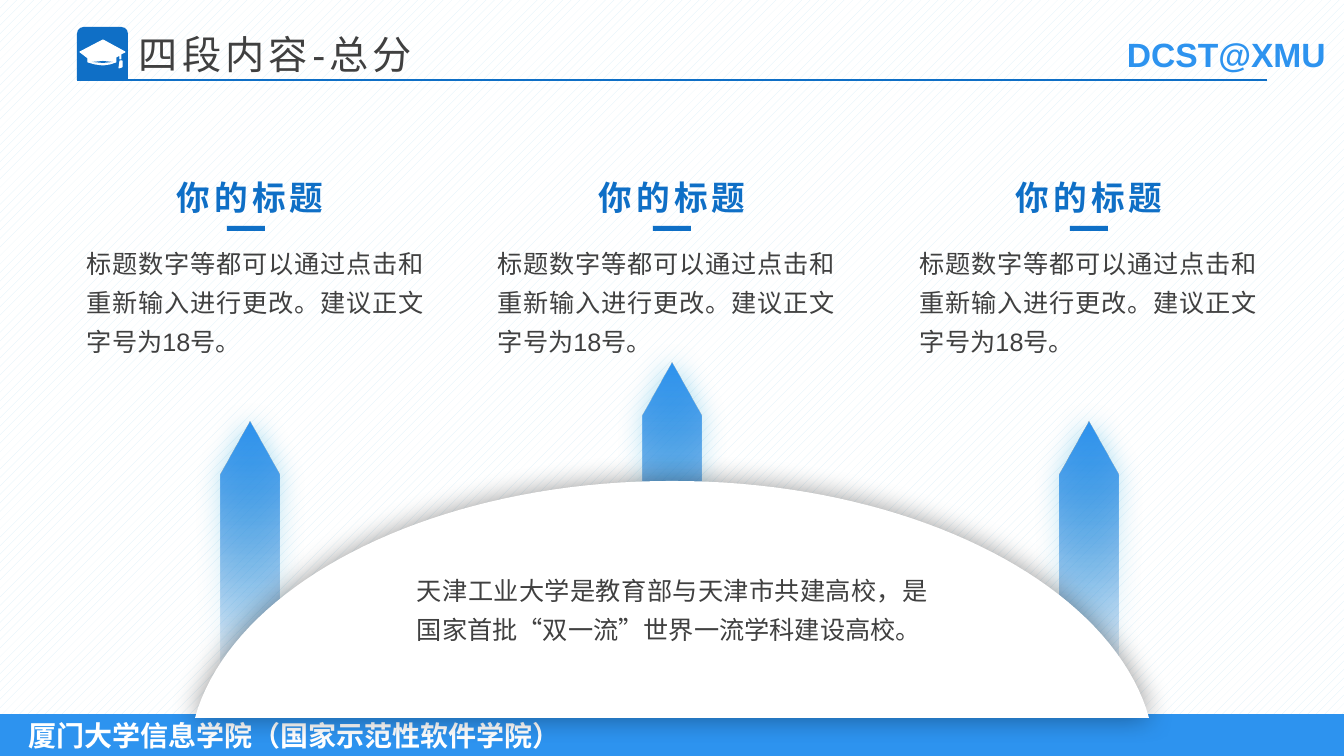
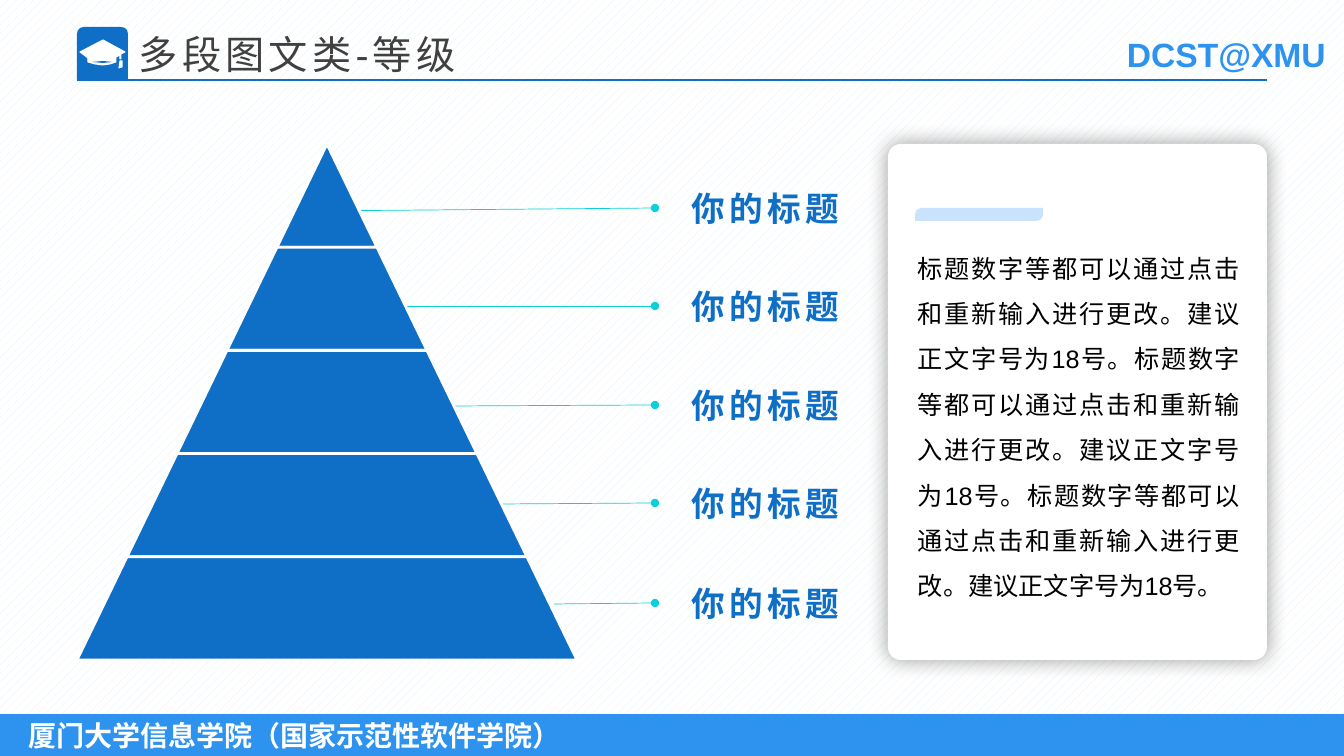
from dataclasses import dataclass

from lxml.etree import SubElement
from pptx import Presentation
from pptx.dml.color import RGBColor
from pptx.enum.dml import MSO_PATTERN
from pptx.enum.shapes import MSO_CONNECTOR, MSO_SHAPE
from pptx.enum.text import MSO_ANCHOR, PP_ALIGN
from pptx.oxml.ns import qn
from pptx.util import Emu, Pt

SLIDE_WIDTH, SLIDE_HEIGHT = 1344, 756
EMU_PER_PX = 12192000 / SLIDE_WIDTH


@dataclass(frozen=True)
class Theme:
    font: str = "Arial"
    blue: str = "0F6FC6"
    bright: str = "2D93EF"
    pale: str = "C8E3FB"
    hatch: str = "DBEFF9"
    teal: str = "0BD0D9"
    glow: str = "009DD9"
    text: str = "404040"
    black: str = "000000"
    white: str = "FFFFFF"
    title_size: int = 28
    heading_size: int = 24
    footer_size: int = 20
    body_size: int = 18
    tracking: int = 3


THEME = Theme()

# Content
FOOTER = "厦门大学信息学院（国家示范性软件学院）"
SIGNATURE = "DCST@XMU"
HEADING = "你的标题"
ADVICE = "标题数字等都可以通过点击和重新输入进行更改。建议正文字号为18号。"

SUMMARY_TITLE = "四段内容-总分"
SUMMARY = "天津工业大学是教育部与天津市共建高校，是国家首批“双一流”世界一流学科建设高校。"
COLUMNS = [
    {"centre": 250, "dash_centre": 246, "body_left": 77, "arrow_tip": 422},
    {"centre": 672, "dash_centre": 672, "body_left": 488, "arrow_tip": 363},
    {"centre": 1089, "dash_centre": 1089, "body_left": 910, "arrow_tip": 422},
]
DOME_CURVE = [(672, 481), (906, 481), (1101, 579), (1146, 708)]
DOME_CORNER = (1149, 718)

LEVELS_TITLE = "多段图文类-等级"
# Leader of each level, top to bottom: start x, start y, end y
LEADERS = [(316, 211, 208), (403, 306, 306), (454, 406, 405), (498, 504, 503), (554, 604, 603)]
LEADER_END = 655
PYRAMID_CENTRE, PYRAMID_TOP, PYRAMID_HEIGHT, PYRAMID_WIDTH = 327, 144, 516, 500

CAP = [(121, 59), (121, 54), (125, 52), (103, 40), (80, 52), (88, 58), (88, 62), (95, 64),
       (103, 65), (110, 64), (116, 62), (116, 57), (120, 55), (120, 59)]
TASSEL = [(120, 61), (119, 68), (122, 67), (122, 61)]
CAP_OPENING = [(92, 62), (103, 61), (113, 62), (103, 63)]


def px(value):
    return Emu(round(value * EMU_PER_PX))


def rgb(colour):
    return RGBColor.from_string(colour)


def add_alpha(colour_element, percent):
    SubElement(colour_element, qn("a:alpha")).set("val", str(percent * 1000))


def finish(shape, fill=None, line=None, line_width=1, shadow=None):
    """Set fill, outline and an optional (colour, blur in points) shadow."""
    shape.shadow.inherit = False
    if fill:
        shape.fill.solid()
        shape.fill.fore_color.rgb = rgb(fill)
    if line:
        shape.line.color.rgb = rgb(line)
        shape.line.width = Pt(line_width)
    else:
        shape.line.fill.background()
    if shadow:
        colour, blur = shadow
        effects = shape._element.spPr.find(qn("a:effectLst"))
        outer = SubElement(effects, qn("a:outerShdw"))
        outer.set("blurRad", str(Pt(blur)))
        outer.set("algn", "ctr")
        outer.set("rotWithShape", "0")
        tint = SubElement(outer, qn("a:srgbClr"))
        tint.set("val", colour)
        add_alpha(tint, 40)
    return shape


def add_block(page, preset, left, top, width, height, adjustments=(), **look):
    shape = page.shapes.add_shape(preset, px(left), px(top), px(width), px(height))
    for index, value in enumerate(adjustments):
        shape.adjustments[index] = value
    return finish(shape, **look)


def add_outline(page, points, **look):
    start, *rest = [(px(x), px(y)) for x, y in points]
    builder = page.shapes.build_freeform(*start)
    builder.add_line_segments(rest, close=True)
    return finish(builder.convert_to_shape(), **look)


def add_rule(page, start, end, colour, width, dot=False):
    rule = page.shapes.add_connector(MSO_CONNECTOR.STRAIGHT, *map(px, start + end))
    rule.line.color.rgb = rgb(colour)
    rule.line.width = Pt(width)
    if dot:
        SubElement(rule.line._get_or_add_ln(), qn("a:tailEnd")).set("type", "oval")
    SubElement(rule._element.spPr, qn("a:effectLst"))


def write(frame, text, size=THEME.body_size, colour=THEME.text, bold=False,
          tracking=0, align=PP_ALIGN.LEFT, spacing=1.0, wrap=True):
    frame.word_wrap = wrap
    frame.vertical_anchor = MSO_ANCHOR.TOP
    para = frame.paragraphs[0]
    para.alignment = align
    para.line_spacing = spacing
    span = para.add_run()
    span.text = text
    span.font.name = THEME.font
    span.font.size = Pt(size)
    span.font.bold = bold
    span.font.color.rgb = rgb(colour)
    if tracking:
        span._r.get_or_add_rPr().set("spc", str(tracking * 100))


def add_text(page, text, left, top, width, height, **style):
    box = page.shapes.add_textbox(px(left), px(top), px(width), px(height))
    write(box.text_frame, text, **style)


def add_heading(page, left, top, height, spacing=1.0):
    add_text(page, HEADING, left, top, 221, height, size=THEME.heading_size, colour=THEME.blue,
             bold=True, tracking=THEME.tracking, align=PP_ALIGN.CENTER, spacing=spacing)


def add_page(deck, title):
    """Add a slide with the shared backdrop, footer, badge and title."""
    page = deck.slides.add_slide(deck.slide_layouts[6])
    backdrop = add_block(page, MSO_SHAPE.RECTANGLE, 0, 0, SLIDE_WIDTH, SLIDE_HEIGHT)
    backdrop.fill.patterned()
    backdrop.fill.pattern = MSO_PATTERN.PERCENT_20
    backdrop.fill.fore_color.rgb = rgb(THEME.hatch)
    backdrop.fill.back_color.rgb = rgb(THEME.white)

    footer = add_block(page, MSO_SHAPE.RECTANGLE, 0, 714, SLIDE_WIDTH, 44, fill=THEME.bright)
    footer.text_frame.margin_left = px(28)
    write(footer.text_frame, FOOTER, size=THEME.footer_size, colour=THEME.white, bold=True)
    add_text(page, SIGNATURE, 1117, 29, 222, 50, size=THEME.heading_size,
             colour=THEME.bright, bold=True, wrap=False)

    add_block(page, MSO_SHAPE.ROUND_2_SAME_RECTANGLE, 77, 27, 51, 53, (0.13, 0), fill=THEME.blue)
    for outline in (CAP, TASSEL):
        add_outline(page, outline, fill=THEME.white, line=THEME.white, line_width=0.75)
    add_outline(page, CAP_OPENING, fill=THEME.blue)
    add_rule(page, (77, 80), (1267, 80), THEME.blue, 1)
    add_text(page, title, 129, 25, 736, 101, size=THEME.title_size, tracking=THEME.tracking)
    return page


def add_fading_arrow(page, centre, tip, length=310, thickness=58):
    """Add an upward arrow that fades out towards its foot."""
    arrow = add_block(page, MSO_SHAPE.PENTAGON, centre - length / 2,
                      tip + (length - thickness) / 2, length, thickness, (0.916,),
                      shadow=(THEME.glow, 20))
    arrow.rotation = 270
    arrow.fill.gradient()
    arrow.fill.gradient_angle = 0
    foot, head = arrow.fill.gradient_stops
    foot.color.rgb, foot.position = rgb(THEME.blue), 0.15
    head.color.rgb, head.position = rgb(THEME.bright), 1
    add_alpha(next(arrow._element.spPr.iter(qn("a:srgbClr"))), 0)


def bezier(controls, steps=40):
    weights = (1, 3, 3, 1)
    return [tuple(sum(weight * (1 - t) ** (3 - power) * t ** power * point[axis]
                      for power, (weight, point) in enumerate(zip(weights, controls)))
                  for axis in (0, 1))
            for t in (step / steps for step in range(steps + 1))]


def build_summary(deck):
    page = add_page(deck, SUMMARY_TITLE)
    for column in COLUMNS:
        add_fading_arrow(page, column["centre"], column["arrow_tip"])

    right_half = bezier(DOME_CURVE) + [DOME_CORNER]
    left_half = [(SLIDE_WIDTH - x, y) for x, y in reversed(right_half[1:])]
    add_outline(page, right_half + left_half, fill=THEME.white, shadow=(THEME.black, 20))

    body = {"align": PP_ALIGN.JUSTIFY, "spacing": 1.3}
    for column in COLUMNS:
        add_heading(page, column["centre"] - 110.5, 152, 64, spacing=1.5)
        add_text(page, ADVICE, column["body_left"], 234, 357, 125, **body)
        add_block(page, MSO_SHAPE.RECTANGLE, column["dash_centre"] - 19, 226, 38, 5,
                  fill=THEME.blue)
    add_text(page, SUMMARY, 407, 561, 531, 86, **body)


def build_levels(deck):
    page = add_page(deck, LEVELS_TITLE)
    for start_x, start_y, end_y in LEADERS:
        add_rule(page, (start_x, start_y), (LEADER_END, end_y), THEME.teal, 0.5, dot=True)

    count = len(LEADERS)
    for level, (_, _, end_y) in enumerate(LEADERS):
        upper, lower = (PYRAMID_TOP + PYRAMID_HEIGHT * edge / count for edge in (level, level + 1))
        narrow, wide = (PYRAMID_WIDTH / 2 * edge / count for edge in (level, level + 1))
        add_outline(page, [(PYRAMID_CENTRE - wide, lower), (PYRAMID_CENTRE - narrow, upper),
                           (PYRAMID_CENTRE + narrow, upper), (PYRAMID_CENTRE + wide, lower)],
                    fill=THEME.blue, line=THEME.white, line_width=2)
        add_heading(page, LEADER_END, end_y - 25, 50)

    add_block(page, MSO_SHAPE.ROUNDED_RECTANGLE, 888, 144, 379, 516, (0.034,),
              fill=THEME.white, shadow=(THEME.black, 15))
    add_text(page, ADVICE * 3, 908, 233, 342, 463, colour=THEME.black,
             align=PP_ALIGN.JUSTIFY, spacing=1.5)
    add_block(page, MSO_SHAPE.ROUND_2_DIAG_RECTANGLE, 915, 208, 128, 13, (0.5, 0),
              fill=THEME.pale)


def main():
    deck = Presentation()
    deck.slide_width, deck.slide_height = px(SLIDE_WIDTH), px(SLIDE_HEIGHT)
    build_summary(deck)
    build_levels(deck)
    deck.save("out.pptx")


if __name__ == "__main__":
    main()
